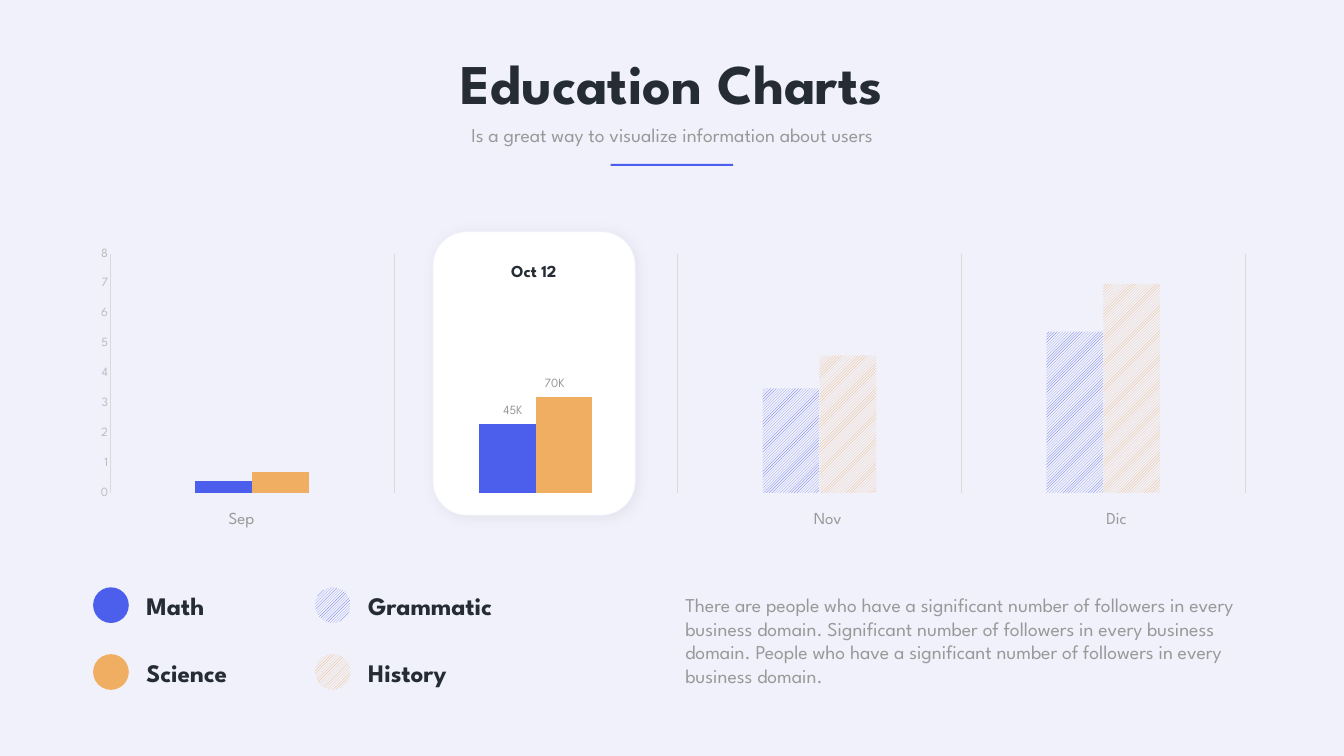
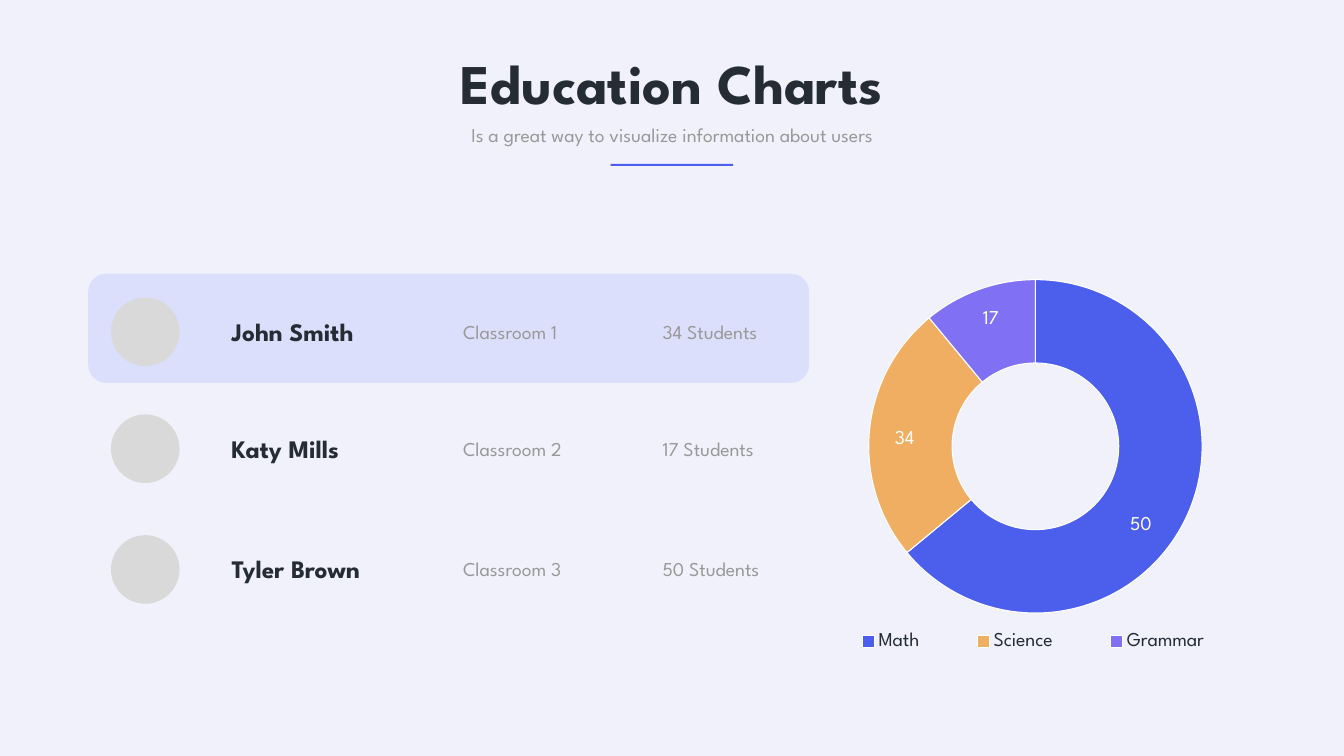
from pptx import Presentation
from pptx.chart.data import CategoryChartData
from pptx.dml.color import RGBColor
from pptx.enum.chart import XL_CHART_TYPE as ChartType, XL_LEGEND_POSITION as LegendPosition
from pptx.enum.chart import XL_TICK_MARK as TickMark
from pptx.enum.dml import MSO_PATTERN as Pattern
from pptx.enum.shapes import MSO_SHAPE as Preset
from pptx.enum.text import MSO_ANCHOR as Anchor, MSO_AUTO_SIZE as AutoSize, PP_ALIGN as Align
from pptx.oxml import parse_xml
from pptx.oxml.ns import nsdecls, qn
from pptx.util import Pt

FONT = "League Spartan"
COLORS = {
    "page": "F0F1FA", "white": "FFFFFF", "ink": "252C34", "gray": "999999",
    "axis": "BDBDBD", "grid": "D9D9D9", "avatar": "D9D9D9", "highlight": "DBDFFB",
    "blue": "4C5FEC", "orange": "F0AE62", "violet": "7F70F4",
}


def rgb(name):
    return RGBColor.from_string(COLORS[name])


def paint(fill, color, hatched=False):
    if hatched:
        fill.patterned()
        fill.pattern = Pattern.WIDE_UPWARD_DIAGONAL
        fill.fore_color.rgb = rgb(color)
        fill.back_color.rgb = rgb("page")
    else:
        fill.solid()
        fill.fore_color.rgb = rgb(color)


def style_font(font, size, color, bold=False):
    font.name = FONT
    font.size = Pt(size)
    font.bold = bold
    font.color.rgb = rgb(color)


def place(element, x, y, w, h):
    """Set a manual layout, in fractions of the chart, on a plot area or legend."""
    for previous in element.findall(qn("c:layout")):
        element.remove(previous)
    target = '<c:layoutTarget val="inner"/>' if element.tag == qn("c:plotArea") else ""
    layout = parse_xml(
        f'<c:layout {nsdecls("c")}><c:manualLayout>{target}'
        '<c:xMode val="edge"/><c:yMode val="edge"/>'
        f'<c:x val="{x}"/><c:y val="{y}"/><c:w val="{w}"/><c:h val="{h}"/>'
        '</c:manualLayout></c:layout>')
    position = element.find(qn("c:legendPos"))
    element.insert(0 if position is None else 1, layout)


class Builder:
    """Holds the deck and its style, and draws on the current page."""

    def __init__(self):
        self.deck = Presentation()
        self.deck.slide_width, self.deck.slide_height = Pt(1920), Pt(1080)
        paint(self.deck.slide_master.background.fill, "page")
        self.page = None

    def new_page(self, title, subtitle):
        self.page = self.deck.slides.add_slide(self.deck.slide_layouts[5])
        box = self.page.shapes.title
        box.left, box.top, box.width, box.height = Pt(495), Pt(65), Pt(930), Pt(104)
        self.fill_text(box, title, 80, "ink", True, Align.CENTER)
        self.text(subtitle, 616, 171.4, 688, 41, align=Align.CENTER)
        self.shape(Preset.RECTANGLE, 872.5, 234, 175, 3, "blue")

    def fill_text(self, box, words, size, color, bold, align):
        frame = box.text_frame
        frame.word_wrap = True
        frame.auto_size = AutoSize.SHAPE_TO_FIT_TEXT
        frame.vertical_anchor = Anchor.TOP
        para = frame.paragraphs[0]
        para.alignment = align
        span = para.add_run()
        span.text = words
        style_font(span.font, size, color, bold)

    def text(self, words, x, y, w, h, size=28, color="gray", bold=False, align=Align.LEFT):
        box = self.page.shapes.add_textbox(Pt(x), Pt(y), Pt(w), Pt(h))
        self.fill_text(box, words, size, color, bold, align)

    def shape(self, preset, x, y, w, h, color, hatched=False):
        shape = self.page.shapes.add_shape(preset, Pt(x), Pt(y), Pt(w), Pt(h))
        shape.shadow.inherit = False
        paint(shape.fill, color, hatched)
        shape.line.fill.background()
        return shape

    def card(self, x, y, w, h):
        """Draw a white rounded card with a soft shadow."""
        card = self.shape(Preset.ROUNDED_RECTANGLE, x, y, w, h, "white")
        card.line.color.rgb = rgb("page")
        card.line.width = Pt(1)
        effects = card._element.spPr.find(qn("a:effectLst"))
        effects.append(parse_xml(
            f'<a:outerShdw {nsdecls("a")} blurRad="{Pt(20)}" dist="{Pt(3)}" dir="2700000" '
            'algn="tl" rotWithShape="0"><a:srgbClr val="000000"><a:alpha val="5000"/>'
            '</a:srgbClr></a:outerShdw>'))

    def chart(self, kind, x, y, w, h, categories, series):
        data = CategoryChartData()
        data.categories = categories
        for name, values in series:
            data.add_series(name, values)
        chart = self.page.shapes.add_chart(kind, Pt(x), Pt(y), Pt(w), Pt(h), data).chart
        chart.has_title = False
        style_font(chart.font, 18, "gray")
        return chart

    def columns(self, x, y, w, h, categories, series, colors, first_hatched):
        chart = self.chart(ChartType.COLUMN_CLUSTERED, x, y, w, h, categories, series)
        chart.has_legend = False
        plot = chart.plots[0]
        plot.vary_by_categories = False
        plot.gap_width, plot.overlap = 300, 0
        for bars, color in zip(plot.series, colors):
            paint(bars.format.fill, color)
            for index in range(first_hatched, len(categories)):
                paint(bars.points[index].format.fill, color, True)

        months = chart.category_axis
        months.has_major_gridlines = True
        months.major_gridlines.format.line.color.rgb = rgb("grid")
        months.major_gridlines.format.line.width = Pt(0.75)
        months.visible = False

        scale = chart.value_axis
        scale.minimum_scale, scale.maximum_scale, scale.major_unit = 0, 8, 1
        scale.has_major_gridlines = False
        scale.major_tick_mark = scale.minor_tick_mark = TickMark.NONE
        scale.format.line.fill.background()
        style_font(scale.tick_labels.font, 18, "axis")
        place(chart._chartSpace.chart.plotArea, 0.03, 0.04, 0.95, 0.92)

    def doughnut(self, x, y, w, h, categories, series, colors):
        chart = self.chart(ChartType.DOUGHNUT, x, y, w, h, categories, series)
        plot = chart.plots[0]
        plot.vary_by_categories = True
        plot._element.find(qn("c:holeSize")).set("val", "59")
        for index, color in enumerate(colors):
            part = plot.series[0].points[index].format
            paint(part.fill, color)
            part.line.color.rgb = rgb("white")
            part.line.width = Pt(1.5)
        chart.has_legend = True
        chart.legend.position = LegendPosition.BOTTOM
        chart.legend.include_in_layout = False
        style_font(chart.legend.font, 28, "ink")
        place(chart._chartSpace.chart.plotArea, 0.13, 0.04, 0.75, 0.81)
        place(chart.legend._element, 0, 0.87, 1, 0.1)

    def key(self, x, y, words, color, hatched):
        self.shape(Preset.OVAL, x, y, 51, 51, color, hatched)
        self.text(words, x + 69, y + 0.5, 305, 51, 36, "ink", True)

    def teacher(self, y, name, room, students):
        self.shape(Preset.OVAL, 158.5, y, 98, 98, "avatar")
        self.text(name, 324, y + 23, 255, 51, 36, "ink", True)
        for words, x in ((room, 654.5), (students, 939.5)):
            self.text(words, x, y + 28, 215, 41)


HEADING = ("Education Charts", "Is a great way to visualize information about users")


def monthly_page(build):
    build.new_page(*HEADING)
    build.card(618.5, 331, 289, 405)
    build.columns(106, 348, 1707, 371, ["1", "2", "3", "4"],
                  [("Series 1", (0.4, 2.3, 3.5, 5.4)), ("Series 2", (0.7, 3.2, 4.6, 7))],
                  ("blue", "orange"), first_hatched=2)
    build.text("Oct 12", 666.5, 368.5, 192, 33, 24, "ink", True, Align.CENTER)
    for words, x, y in (("45K", 701.5, 571), ("70K", 761, 531.5)):
        build.text(words, x, y, 62.5, 27, 18, align=Align.CENTER)
    for month, x in (("Sep", 249), ("Nov", 1086.5), ("Dic", 1499)):
        build.text(month, x, 721.5, 192, 33, 24, align=Align.CENTER)

    subjects = ((("Math", "blue"), ("Science", "orange")),
                (("Grammatic", "blue"), ("History", "orange")))
    for column, pair in enumerate(subjects):
        for row, (subject, color) in enumerate(pair):
            build.key(133 + 317 * column, 839 + 95.5 * row, subject, color, column == 1)
    build.text("There are people who have a significant number of followers in every "
               "business domain. Significant number of followers in every business domain. "
               "People who have a significant number of followers in every business domain.",
               972, 844, 858, 143)


def classroom_page(build):
    build.new_page(*HEADING)
    build.doughnut(1158, 376, 636, 588, ["Math", "Science", "Grammar"],
                   [("Series 1", (64, 25, 11))], ("blue", "orange", "violet"))
    for count, x, y in (("17", 1368, 432), ("50", 1582.5, 726), ("34", 1245, 604)):
        build.text(count, x, y, 95, 41, 28, "white", align=Align.CENTER)

    build.shape(Preset.ROUNDED_RECTANGLE, 126, 391, 1030, 156, "highlight")
    build.teacher(425, "John Smith", "Classroom 1", "34 Students")
    build.teacher(592, "Katy Mills", "Classroom 2", "17 Students")
    build.teacher(764.5, "Tyler Brown", "Classroom 3", "50 Students")


def main():
    build = Builder()
    monthly_page(build)
    classroom_page(build)
    build.deck.save("out.pptx")


if __name__ == "__main__":
    main()
